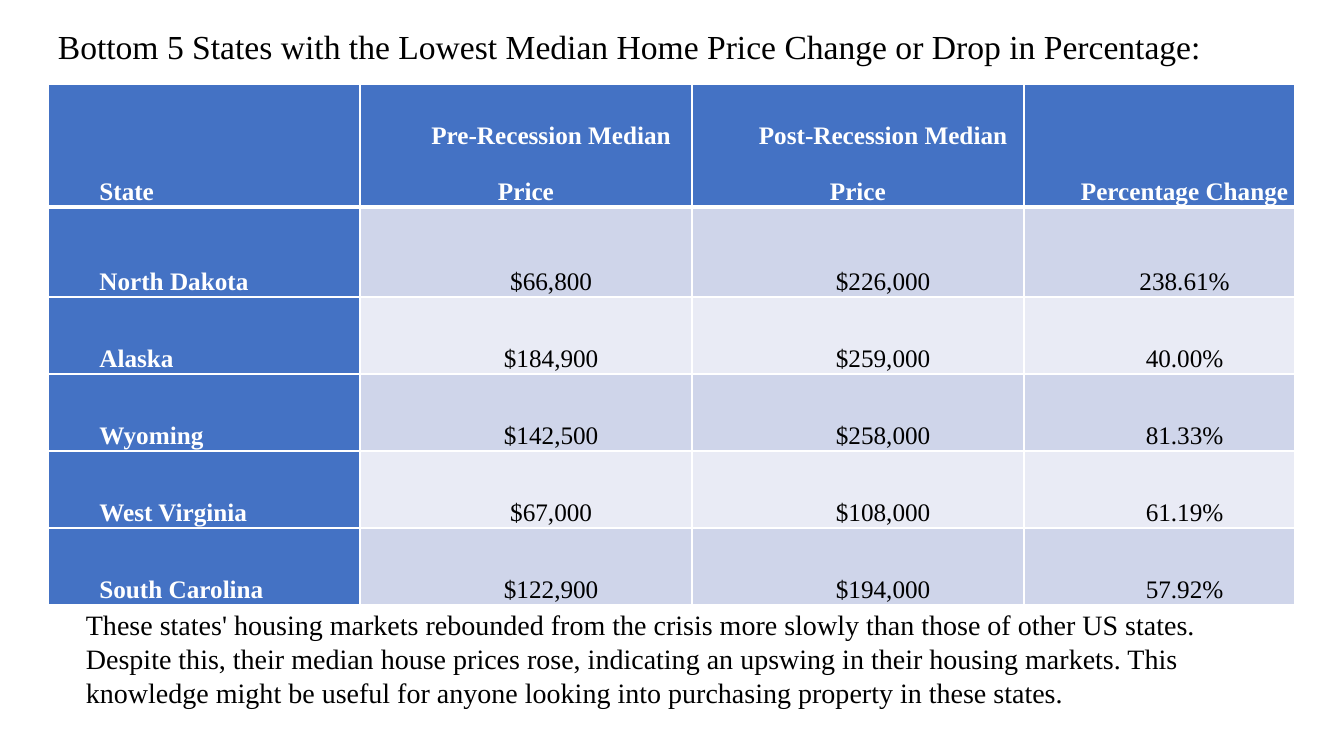
from pptx import Presentation
from pptx.dml.color import RGBColor
from pptx.enum.text import MSO_ANCHOR as Anchor, MSO_AUTO_SIZE as Fit, PP_ALIGN as Align
from pptx.oxml import parse_xml
from pptx.oxml.ns import nsdecls
from pptx.util import Pt

TITLE = "Bottom 5 States with the Lowest Median Home Price Change or Drop in Percentage:"
NOTE = (
    "These states' housing markets rebounded from the crisis more slowly than those "
    "of other US states. Despite this, their median house prices rose, indicating an "
    "upswing in their housing markets. This knowledge might be useful for anyone "
    "looking into purchasing property in these states."
)
ROWS = [
    ("State", "Pre-Recession Median Price", "Post-Recession Median Price", "Percentage Change"),
    ("North Dakota", "$66,800", "$226,000", "238.61%"),
    ("Alaska", "$184,900", "$259,000", "40.00%"),
    ("Wyoming", "$142,500", "$258,000", "81.33%"),
    ("West Virginia", "$67,000", "$108,000", "61.19%"),
    ("South Carolina", "$122,900", "$194,000", "57.92%"),
]
WIDTHS = [312, 332, 332, 271]
HEIGHTS = [113, 90, 77, 77, 77, 77]
BLUE, WHITE, BLACK = "4472C4", "FFFFFF", "000000"
BANDS = ["E9EBF5", "CFD5EA"]
FACE = "Times New Roman"
SCALE = 9071


def px(*nums):
    return [n * SCALE for n in nums]


def color(code):
    return RGBColor.from_string(code)


def put(item, **vals):
    for key, val in vals.items():
        setattr(item, key, val)


def write(frame, text, size, ink=BLACK, bold=False, **form):
    para = frame.paragraphs[0]
    put(para, **form)
    run = para.add_run()
    run.text = text
    put(run.font, name=FACE, size=Pt(size), bold=bold)
    run.font.color.rgb = color(ink)
    return para


def edge(cell, side, width):
    cell._tc.get_or_add_tcPr().append(parse_xml(
        f'<a:ln{side} {nsdecls("a")} w="{Pt(width)}"><a:solidFill>'
        f'<a:srgbClr val="{WHITE}"/></a:solidFill></a:ln{side}>'))


def add_text(slide, box, text, size, frame, **form):
    area = slide.shapes.add_textbox(*px(*box)).text_frame
    put(area, word_wrap=True, **frame)
    write(area, text, size, **form)


def fill_cell(cell, row, col, text):
    head = row == 0 or col == 0
    inset = px(1)[0]
    put(cell, vertical_anchor=Anchor.BOTTOM, margin_left=inset, margin_right=inset,
        margin_top=inset, margin_bottom=inset)
    for side in "LRTB":
        thick = (row, side) in [(0, "B"), (1, "T")]
        edge(cell, side, 3 if thick else 1)
    cell.fill.solid()
    cell.fill.fore_color.rgb = color(BLUE if head else BANDS[row % 2])
    para = write(cell.text_frame, text, 18, WHITE if head else BLACK, head,
                 alignment=Align.CENTER if col else Align.LEFT, line_spacing=2.0,
                 space_before=Pt(24), space_after=Pt(24))
    props = para._p.get_or_add_pPr()
    props.set("marL", "0")
    props.set("indent", str(Pt(36)))


def add_grid(slide):
    box = px(48, 84, sum(WIDTHS), sum(HEIGHTS))
    table = slide.shapes.add_table(len(ROWS), len(WIDTHS), *box).table
    table.first_col = True
    for col, width in zip(table.columns, px(*WIDTHS)):
        col.width = width
    for line, height in zip(table.rows, px(*HEIGHTS)):
        line.height = height
    for row, texts in enumerate(ROWS):
        for col, text in enumerate(texts):
            fill_cell(table.cell(row, col), row, col, text)


def main():
    deck = Presentation()
    deck.slide_width, deck.slide_height = px(1344, 756)
    slide = deck.slides.add_slide(deck.slide_layouts[6])
    add_text(slide, (48, 13, 1203, 72), TITLE, 24,
             {"vertical_anchor": Anchor.MIDDLE}, line_spacing=0.9)
    add_grid(slide)
    add_text(slide, (76, 603, 1186, 112), NOTE, 20,
             {"auto_size": Fit.SHAPE_TO_FIT_TEXT})
    deck.save("out.pptx")


if __name__ == "__main__":
    main()
